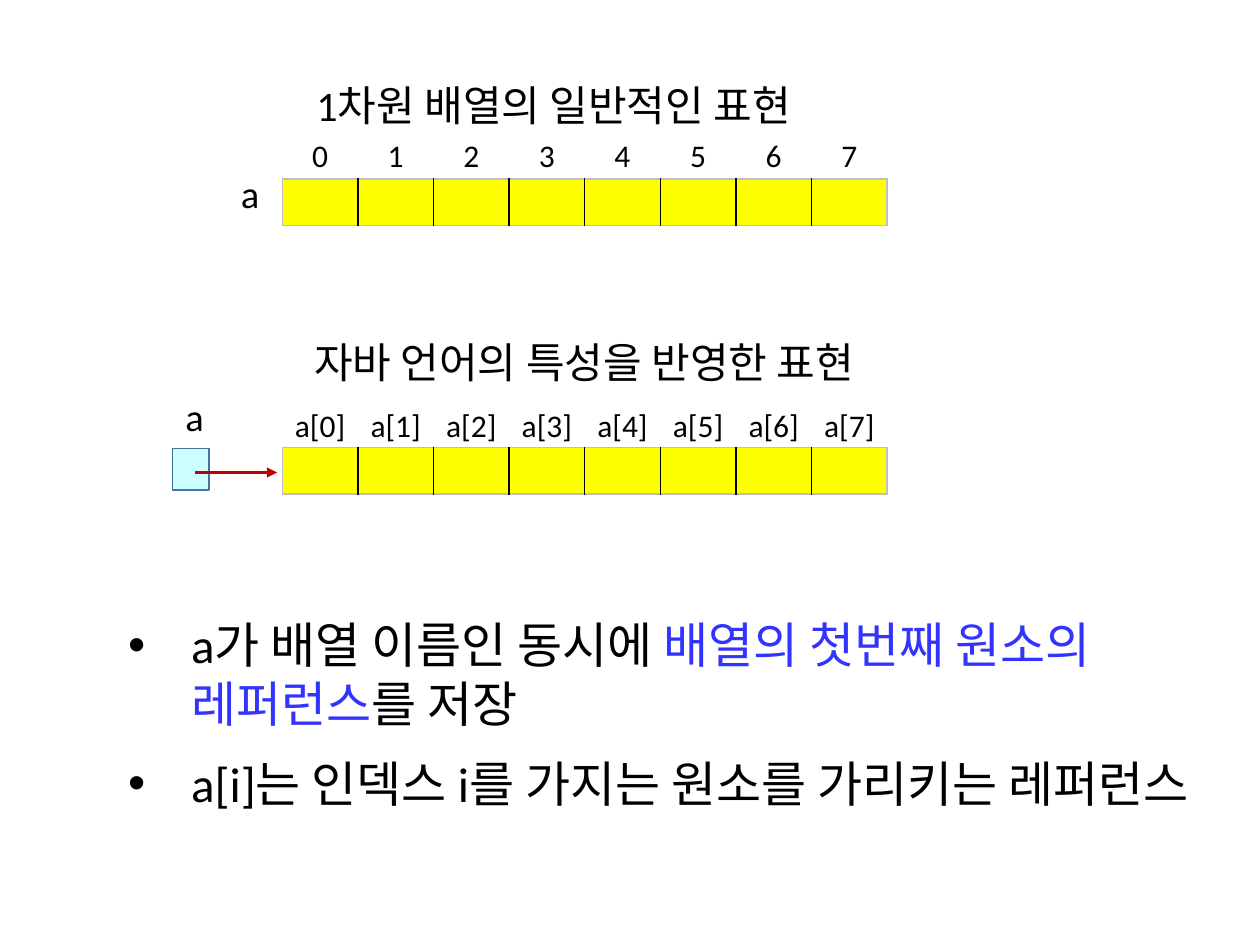
"""Build a slide comparing two ways of picturing a one-dimensional array."""
from dataclasses import dataclass

from lxml.etree import SubElement
from pptx import Presentation
from pptx.dml.color import RGBColor
from pptx.enum.shapes import MSO_CONNECTOR, MSO_SHAPE
from pptx.enum.text import MSO_ANCHOR, PP_ALIGN
from pptx.oxml import parse_xml
from pptx.oxml.ns import nsdecls, qn
from pptx.util import Pt


@dataclass(frozen=True)
class Theme:
    font: str = "Calibri"
    ink: str = "000000"
    accent: str = "3333FF"
    element: str = "FFFF00"
    edge: str = "BFBFBF"
    reference: str = "CCFFFF"
    reference_edge: str = "43739E"
    arrow: str = "C00000"
    index_size: float = 18
    name_size: float = 22
    heading_size: float = 24
    body_size: float = 28


@dataclass(frozen=True)
class Area:
    left: float
    top: float
    width: float
    height: float

    def lengths(self) -> tuple:
        return tuple(Pt(n) for n in (self.left, self.top, self.width, self.height))


@dataclass(frozen=True)
class ArrayPicture:
    heading: str
    heading_area: Area
    name_area: Area
    cells_top: float
    index_top: float
    index_pattern: str


THEME = Theme()
COUNT = 8
CELL_WIDTH = 43.2
ROW_LEFT = 161.3
CELL_HEIGHT = 26.7
INDEX_HEIGHT = 28.8

PICTURES = (
    ArrayPicture("자바 언어의 특성을 반영한 표현", Area(137.5, 186.5, 392.4, 38.9),
                 Area(94.3, 221, 33.8, 33.8), 255.6, 229, "a[{}]"),
    ArrayPicture("1차원 배열의 일반적인 표현", Area(140.4, 39.6, 352, 36.7),
                 Area(126, 93.6, 33.8, 33.8), 102.2, 74.9, "{}"),
)
POINTS = (
    (("a가 배열 이름인 동시에 ", THEME.ink),
     ("배열의 첫번째 원소의 레퍼런스", THEME.accent),
     ("를 저장", THEME.ink)),
    (("a[i]는 인덱스 i를 가지는 원소를 가리키는 레퍼런스", THEME.ink),),
)


def color(value: str) -> RGBColor:
    return RGBColor.from_string(value)


def style(font, size: float) -> None:
    font.name, font.size = THEME.font, Pt(size)
    font.color.rgb = color(THEME.ink)


def set_borders(cell, left=None, right=None, top=None, bottom=None) -> None:
    properties = cell._tc.get_or_add_tcPr()
    for place, (side, value) in enumerate(zip("LRTB", (left, right, top, bottom))):
        paint = (f'<a:solidFill><a:srgbClr val="{value}"/></a:solidFill>'
                 if value else "<a:noFill/>")
        line = f'<a:ln{side} {nsdecls("a")} w="{Pt(1)}">{paint}</a:ln{side}>'
        properties.insert(place, parse_xml(line))


def add_row(page, top: float, height: float) -> list:
    area = Area(ROW_LEFT, top, COUNT * CELL_WIDTH, height)
    table = page.shapes.add_table(1, COUNT, *area.lengths()).table
    table.first_row = table.horz_banding = False
    for column in table.columns:
        column.width = Pt(CELL_WIDTH)
    return list(table.iter_cells())


def add_elements(page, top: float) -> None:
    for index, cell in enumerate(add_row(page, top, CELL_HEIGHT)):
        cell.margin_top = cell.margin_bottom = Pt(0)
        cell.fill.solid()
        cell.fill.fore_color.rgb = color(THEME.element)
        set_borders(cell, left=THEME.ink if index else THEME.edge,
                    right=THEME.ink if index < COUNT - 1 else THEME.edge,
                    top=THEME.edge, bottom=THEME.edge)


def add_indices(page, top: float, pattern: str) -> None:
    for index, cell in enumerate(add_row(page, top, INDEX_HEIGHT)):
        cell.fill.background()
        set_borders(cell)
        cell.vertical_anchor = MSO_ANCHOR.MIDDLE
        para = cell.text_frame.paragraphs[0]
        para.text = pattern.format(index)
        para.alignment = PP_ALIGN.CENTER
        style(para.font, THEME.index_size)


def add_text(page, area: Area, text: str, size: float):
    box = page.shapes.add_textbox(*area.lengths())
    box.text_frame.word_wrap = True
    para = box.text_frame.paragraphs[0]
    para.text = text
    para.alignment = PP_ALIGN.CENTER
    style(para.font, size)
    return box


def add_picture_of_array(page, picture: ArrayPicture) -> None:
    add_elements(page, picture.cells_top)
    add_indices(page, picture.index_top, picture.index_pattern)
    name = add_text(page, picture.name_area, "a", THEME.name_size)
    name.text_frame.vertical_anchor = MSO_ANCHOR.MIDDLE
    heading = add_text(page, picture.heading_area, picture.heading, THEME.heading_size)
    heading.text_frame.paragraphs[0].line_spacing = 1.07


def add_reference(page) -> None:
    area = Area(98.6, 256.3, 20.9, 23.8)
    box = page.shapes.add_shape(MSO_SHAPE.RECTANGLE, *area.lengths())
    box.shadow.inherit = False
    box.fill.solid()
    box.fill.fore_color.rgb = color(THEME.reference)
    box.line.color.rgb = color(THEME.reference_edge)
    box.line.width = Pt(1)
    arrow = page.shapes.add_connector(
        MSO_CONNECTOR.STRAIGHT, Pt(111.6), Pt(270), Pt(158.4), Pt(270))
    arrow.line.color.rgb = color(THEME.arrow)
    arrow.line.width = Pt(1.5)
    SubElement(arrow.line._get_or_add_ln(), qn("a:tailEnd"), type="triangle")
    SubElement(arrow._element.spPr, qn("a:effectLst"))


def add_points(page) -> None:
    box = page.shapes.add_textbox(*Area(66.2, 347.8, 622, 154.8).lengths())
    frame = box.text_frame
    frame.word_wrap = True
    for index, spans in enumerate(POINTS):
        para = frame.add_paragraph() if index else frame.paragraphs[0]
        properties = para._p.get_or_add_pPr()
        properties.set("marL", str(Pt(36)))
        properties.set("indent", str(-Pt(36)))
        SubElement(properties, qn("a:buFont"), typeface="Arial")
        SubElement(properties, qn("a:buChar"), char="•")
        para.space_after = Pt(0 if index == len(POINTS) - 1 else 12)
        style(para.font, THEME.body_size)
        for text, value in spans:
            span = para.add_run()
            span.text = text
            span.font.color.rgb = color(value)


def main() -> None:
    deck = Presentation()
    deck.slide_width, deck.slide_height = Pt(720), Pt(540)
    page = deck.slides.add_slide(deck.slide_layouts[6])
    for picture in PICTURES:
        add_picture_of_array(page, picture)
    add_reference(page)
    add_points(page)
    deck.save("out.pptx")


if __name__ == "__main__":
    main()
